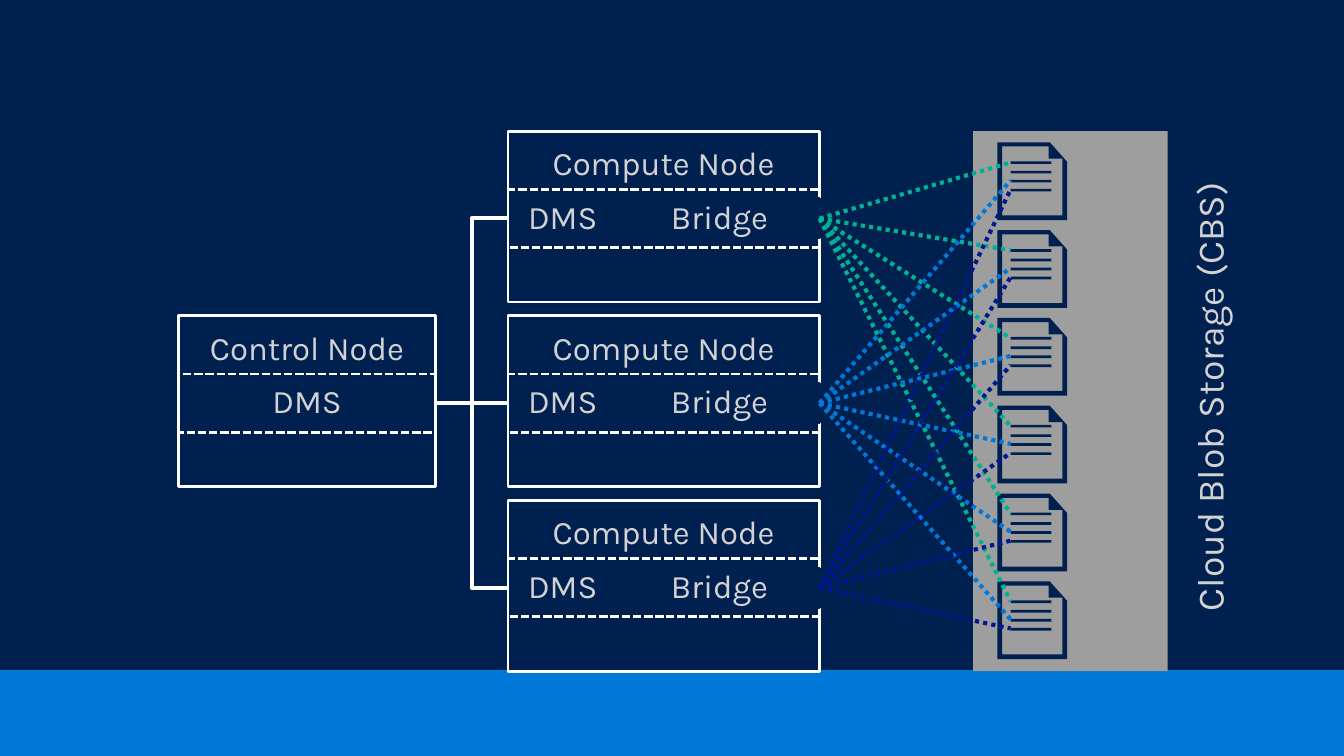
from dataclasses import dataclass

import pptx
import pptx.dml.color
import pptx.enum.dml
import pptx.enum.shapes
import pptx.enum.text
import pptx.oxml.ns
import pptx.shapes.autoshape
import pptx.shapes.connector
import pptx.util
from lxml import etree
from pptx.dml.color import RGBColor
from pptx.enum.dml import MSO_LINE
from pptx.enum.shapes import MSO_CONNECTOR, MSO_SHAPE
from pptx.enum.text import MSO_ANCHOR, PP_ALIGN
from pptx.util import Cm, Pt

NAVY = RGBColor(0x00, 0x20, 0x50)
BLUE = RGBColor(0x00, 0x78, 0xD7)
GREEN = RGBColor(0x00, 0xB2, 0x93)
INDIGO = RGBColor(0x00, 0x18, 0x8F)
WHITE = RGBColor(0xFF, 0xFF, 0xFF)
PALE = RGBColor(0xD2, 0xD2, 0xD2)
GREY = RGBColor(0x9E, 0x9E, 0x9E)

FONT = "Karla"
NODE_HEIGHT, NODE_PITCH = 3.23, 3.49
BAND_OFFSET, BAND_HEIGHT = 1.1, 1.1
BRIDGE_WIDTH, BRIDGE_HEIGHT = 3.78, 0.74
COMPUTE_LEFT, COMPUTE_TOP, COMPUTE_WIDTH = 9.6, 2.48, 5.89
FILE_LEFT, FILE_TOP, FILE_PITCH, FILE_COUNT = 18.85, 2.69, 1.66, 6
TEXT_LEFT, TEXT_RIGHT = 0.25, 1.02
LEFT_SITE, RIGHT_SITE = 1, 3

PAGE_OUTLINE = [(0, 0), (0.99, 0), (1.32, 0.37), (1.32, 1.47), (0, 1.47)]
PAGE_INSIDE = [(1.23, 0.31), (0.97, 0.31), (0.97, 0.08),
               (0.09, 0.08), (0.09, 1.38), (1.23, 1.38)]
PAGE_TEXT = [[(TEXT_LEFT, y), (TEXT_RIGHT, y), (TEXT_RIGHT, y + 0.05), (TEXT_LEFT, y + 0.05)]
             for y in (0.36, 0.54, 0.71, 0.88)]


@dataclass
class Node:
    """A server box; reads_at is where its links meet a file, link the link colour."""
    title: str
    left: float
    top: float
    width: float
    link: RGBColor | None = None
    reads_at: float = 0

    @property
    def middle(self) -> float:
        """Height of the centre of the service band."""
        return self.top + BAND_OFFSET + BAND_HEIGHT / 2


deck = pptx.Presentation()
deck.slide_width, deck.slide_height = Cm(25.4), Cm(14.29)
slide = deck.slides.add_slide(deck.slide_layouts[6])
slide.background.fill.solid()
slide.background.fill.fore_color.rgb = NAVY


def write(frame: pptx.text.text.TextFrame, words: str, size: float, align: PP_ALIGN) -> None:
    """Put one styled line of text in a frame."""
    paragraph = frame.paragraphs[0]
    paragraph.alignment, paragraph.line_spacing = align, 0.9
    run = paragraph.add_run()
    run.text = words
    run.font.name, run.font.size, run.font.color.rgb = FONT, Pt(size), PALE


def add_box(left: float, top: float, width: float, height: float, fill: RGBColor | None = None,
            line: RGBColor | None = None, dash: MSO_LINE | None = None, words: str = "",
            align: PP_ALIGN = PP_ALIGN.CENTER,
            anchor: MSO_ANCHOR = MSO_ANCHOR.MIDDLE) -> pptx.shapes.autoshape.Shape:
    """Draw a rectangle, with text if there is any."""
    box = slide.shapes.add_shape(MSO_SHAPE.RECTANGLE, Cm(left), Cm(top), Cm(width), Cm(height))
    box.shadow.inherit = False
    if fill is None:
        box.fill.background()
    else:
        box.fill.solid()
        box.fill.fore_color.rgb = fill
    if line is None:
        box.line.fill.background()
    else:
        box.line.color.rgb, box.line.width = line, Pt(1.5)
        box.line.dash_style = dash
    if words:
        frame = box.text_frame
        frame.margin_left = frame.margin_right = Cm(0.38)
        frame.margin_top = frame.margin_bottom = Cm(0.3)
        frame.word_wrap, frame.vertical_anchor = True, anchor
        write(frame, words, 17.6, align)
    return box


def add_link(kind: MSO_CONNECTOR, start: tuple[float, float], end: tuple[float, float],
             color: RGBColor) -> pptx.shapes.connector.Connector:
    """Draw a connector without a shadow."""
    link = slide.shapes.add_connector(kind, *map(Cm, start), *map(Cm, end))
    link.line.color.rgb, link.line.width = color, Pt(2.25)
    etree.SubElement(link._element.spPr, pptx.oxml.ns.qn("a:effectLst"))
    return link


def add_node(node: Node) -> pptx.shapes.autoshape.Shape:
    """Draw a node and return its service band."""
    add_box(node.left, node.top, node.width, NODE_HEIGHT, line=WHITE,
            words=node.title, anchor=MSO_ANCHOR.TOP)
    band = add_box(node.left, node.top + BAND_OFFSET, node.width, BAND_HEIGHT, line=WHITE,
                   dash=MSO_LINE.SQUARE_DOT, words="DMS",
                   align=PP_ALIGN.LEFT if node.link else PP_ALIGN.CENTER)
    if node.link:
        add_box(node.left + node.width - BRIDGE_WIDTH, node.middle - BRIDGE_HEIGHT / 2,
                BRIDGE_WIDTH, BRIDGE_HEIGHT, fill=NAVY, line=NAVY, words="Bridge")
    return band


def add_file(top: float) -> None:
    """Draw a page with a folded corner and four lines of writing."""
    contours = [[(Cm(FILE_LEFT + x), Cm(top + y)) for x, y in contour]
                for contour in (PAGE_OUTLINE, PAGE_INSIDE, *PAGE_TEXT)]
    builder = slide.shapes.build_freeform(*contours[0][0])
    builder.add_line_segments(contours[0][1:])
    for first, *others in contours[1:]:
        builder.move_to(*first)
        builder.add_line_segments(others)
    page = builder.convert_to_shape()
    page.shadow.inherit = False
    page.fill.solid()
    page.fill.fore_color.rgb = NAVY
    page.line.fill.background()


def add_storage_label() -> None:
    """Write the name of the storage upwards along its side."""
    label = slide.shapes.add_textbox(Cm(18.34), Cm(6.99), Cm(9.12), Cm(1.02))
    label.rotation = 270
    label.text_frame.word_wrap = False
    write(label.text_frame, "Cloud Blob Storage (CBS)", 20, PP_ALIGN.CENTER)


add_box(0, 12.67, 25.4, 1.62, fill=BLUE)

compute_nodes = [
    Node("Compute Node", COMPUTE_LEFT, COMPUTE_TOP + row * NODE_PITCH, COMPUTE_WIDTH, link, reads_at)
    for row, (link, reads_at) in enumerate([(GREEN, 0.38), (BLUE, 0.72), (INDIGO, 0.89)])
]
control_node = Node("Control Node", 3.38, compute_nodes[1].top, 4.85)
compute_bands = [add_node(node) for node in compute_nodes]
control_band = add_node(control_node)

for node, band in zip(compute_nodes, compute_bands):
    branch = add_link(MSO_CONNECTOR.ELBOW,
                      (control_node.left + control_node.width, control_node.middle),
                      (node.left, node.middle), WHITE)
    branch.begin_connect(control_band, RIGHT_SITE)
    branch.end_connect(band, LEFT_SITE)

add_box(18.39, COMPUTE_TOP, 3.68, 10.21, fill=GREY)
file_tops = [FILE_TOP + row * FILE_PITCH for row in range(FILE_COUNT)]
for file_top in file_tops:
    add_file(file_top)

for node in compute_nodes:
    for file_top in file_tops:
        read = add_link(MSO_CONNECTOR.STRAIGHT, (node.left + node.width, node.middle),
                        (FILE_LEFT + TEXT_LEFT, file_top + node.reads_at), node.link)
        read.line.dash_style = MSO_LINE.ROUND_DOT

add_storage_label()
deck.save("out.pptx")
